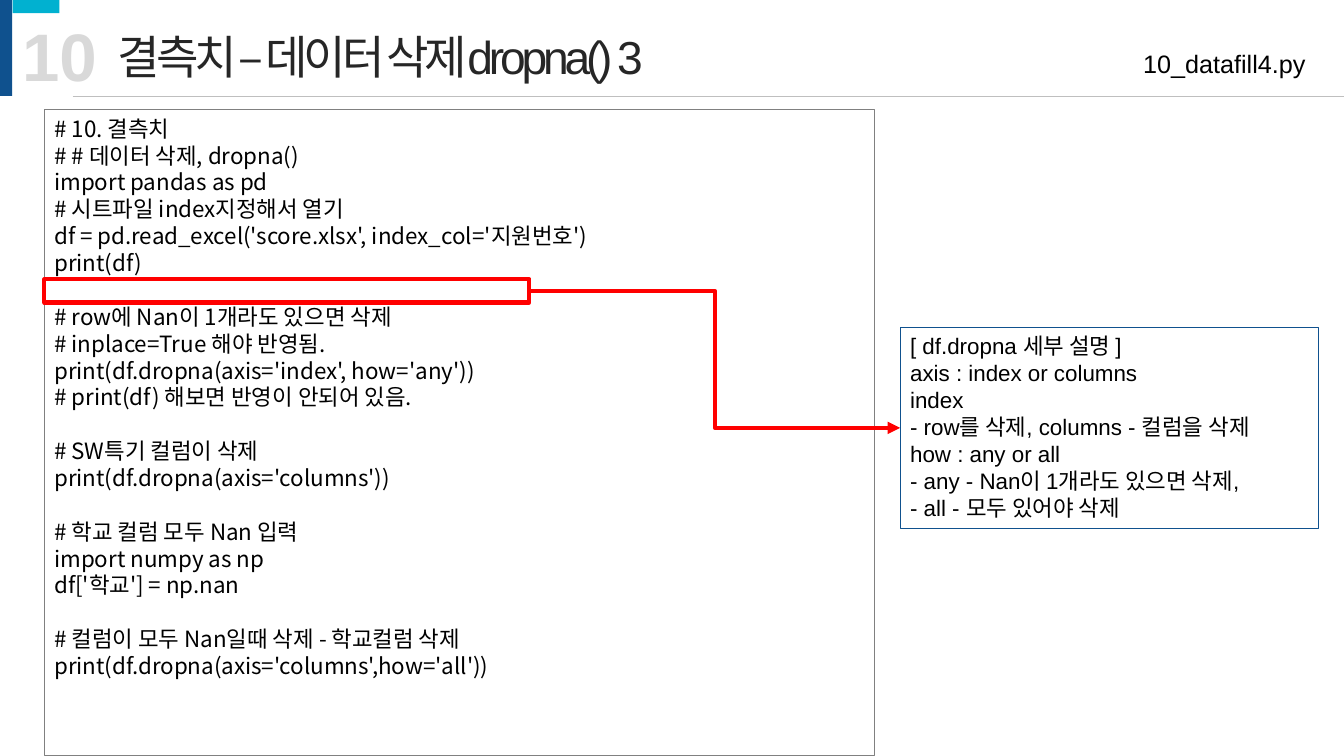
from pptx import Presentation
from pptx.dml.color import RGBColor
from pptx.enum import shapes, text
from pptx.oxml.ns import qn
from pptx.util import Pt
from lxml import etree

COLORS = {"navy": "0F518E", "cyan": "01B1D0", "pale": "D9D9D9", "rule": "BFBFBF",
          "frame": "808080", "red": "FF0000", "ink": "000000", "title": "262626"}
LATIN, HANGUL = "Arial", "Noto Sans CJK KR"
WIDTH, HEIGHT = 960, 540
LEADING = 19.2

# Each inner list is a block; a one-line gap separates blocks.
CODE = [
    ["# 10. 결측치",
     "# # 데이터 삭제, dropna()",
     "import pandas as pd",
     "# 시트파일 index지정해서 열기",
     "df = pd.read_excel('score.xlsx', index_col='지원번호')",
     "print(df)"],
    ["# row에 Nan이 1개라도 있으면 삭제",
     "# inplace=True 해야 반영됨.",
     "print(df.dropna(axis='index', how='any'))",
     "# print(df) 해보면 반영이 안되어 있음."],
    ["# SW특기 컬럼이 삭제",
     "print(df.dropna(axis='columns'))"],
    ["# 학교 컬럼 모두 Nan 입력",
     "import numpy as np",
     "df['학교'] = np.nan"],
    ["# 컬럼이 모두 Nan일때 삭제 - 학교컬럼 삭제",
     "print(df.dropna(axis='columns',how='all'))"],
]
NOTES = [[
    "[ df.dropna 세부 설명 ]",
    "axis : index or columns",
    "index \n- row를 삭제, columns - 컬럼을 삭제",
    "how : any or all",
    "- any - Nan이 1개라도 있으면 삭제, \n- all - 모두 있어야 삭제",
]]


def rgb(name):
    return RGBColor.from_string(COLORS[name])


def add_run(p, content, size, color="ink", font=LATIN, bold=False):
    r = p.add_run()
    r.text = content
    r.font.size, r.font.bold, r.font.name = Pt(size), bold, font
    r.font.color.rgb = rgb(color)
    ea = etree.SubElement(r.font._element, qn("a:ea"))
    ea.set("typeface", HANGUL)
    return r


def add_rect(s, box, fill=None, line=None, weight=0.75):
    sp = s.shapes.add_shape(shapes.MSO_SHAPE.RECTANGLE, *map(Pt, box))
    sp.shadow.inherit = False
    if fill:
        sp.fill.solid()
        sp.fill.fore_color.rgb = rgb(fill)
    else:
        sp.fill.background()
    if line:
        sp.line.color.rgb = rgb(line)
        sp.line.width = Pt(weight)
    else:
        sp.line.fill.background()
    return sp


def add_line(s, kind, start, end, color, weight):
    cn = s.shapes.add_connector(kind, *map(Pt, (*start, *end)))
    cn.line.color.rgb = rgb(color)
    cn.line.width = Pt(weight)
    etree.SubElement(cn._element.spPr, qn("a:effectLst"))
    return cn


def add_label(s, box, content, size, color="ink", bold=False, align=text.PP_ALIGN.LEFT, wrap=True):
    tf = s.shapes.add_textbox(*map(Pt, box)).text_frame
    tf.word_wrap = wrap
    p = tf.paragraphs[0]
    p.alignment = align
    add_run(p, content, size, color, bold=bold)


def header(s, box):
    x, y, w, h = box
    add_rect(s, (x, y, 8.64, h), fill="navy")
    add_rect(s, (x + 9, y, 33.4, 9.4), fill="cyan")
    add_label(s, (x + 8.64, y + 6.5, 68.4, 65.5), "10", 48, "pale", bold=True, wrap=False)
    add_line(s, shapes.MSO_CONNECTOR.STRAIGHT, (x + 52, y + h), (x + w, y + h), "rule", 0.5)
    add_label(s, (x + w - 317, y + 31, 296.6, 28.8), "10_datafill4.py", 18,
              align=text.PP_ALIGN.RIGHT)

    title = s.shapes.title
    title.left, title.top, title.width, title.height = map(Pt, (x + 77, y + 15.8, 726.5, 48.2))
    tf = title.text_frame
    tf.word_wrap = True
    tf.auto_size = text.MSO_AUTO_SIZE.NONE
    tf.vertical_anchor = text.MSO_ANCHOR.MIDDLE
    p = tf.paragraphs[0]
    p.alignment = text.PP_ALIGN.LEFT
    r = add_run(p, "결측치 – 데이터 삭제dropna() 3", 33, "title")
    r.font._element.set("spc", "-300")


def text_panel(s, box, blocks, line, font):
    sp = add_rect(s, box, line=line)
    tf = sp.text_frame
    tf.word_wrap = True
    tf.vertical_anchor = text.MSO_ANCHOR.TOP
    for b, block in enumerate(blocks):
        for i, content in enumerate(block):
            first = b == i == 0
            p = tf.paragraphs[0] if first else tf.add_paragraph()
            p.alignment = text.PP_ALIGN.LEFT
            p.line_spacing = Pt(LEADING)
            p.space_before = Pt(LEADING if b and i == 0 else 0)
            for n, part in enumerate(content.split("\n")):
                if n:
                    p.add_line_break()
                add_run(p, part, 16, font=font)
    return sp


def callout(s, box, target):
    """Outline a line of code and lead an arrow from it to the target panel."""
    mark = add_rect(s, box, line="red", weight=3)
    x, y, w, h = box
    cn = add_line(s, shapes.MSO_CONNECTOR.ELBOW, (x + w, y + h / 2),
                  (target.left.pt, target.top.pt + target.height.pt / 2), "red", 3)
    cn.begin_connect(mark, 3)
    cn.end_connect(target, 1)
    tail = etree.SubElement(cn.line._get_or_add_ln(), qn("a:tailEnd"))
    tail.set("type", "triangle")


def main():
    prs = Presentation()
    prs.slide_width, prs.slide_height = Pt(WIDTH), Pt(HEIGHT)
    s = prs.slides.add_slide(prs.slide_layouts[5])
    left, top = 31.7, 78.5
    header(s, (0, 0, WIDTH, 68.6))
    text_panel(s, (left, top, 593.3, HEIGHT - top), CODE, "frame", HANGUL)
    notes = text_panel(s, (643, 234, 298.8, 143.3), NOTES, "navy", LATIN)
    callout(s, (left, 199.5, 346.5, 16.6), notes)
    prs.save("out.pptx")


if __name__ == "__main__":
    main()
